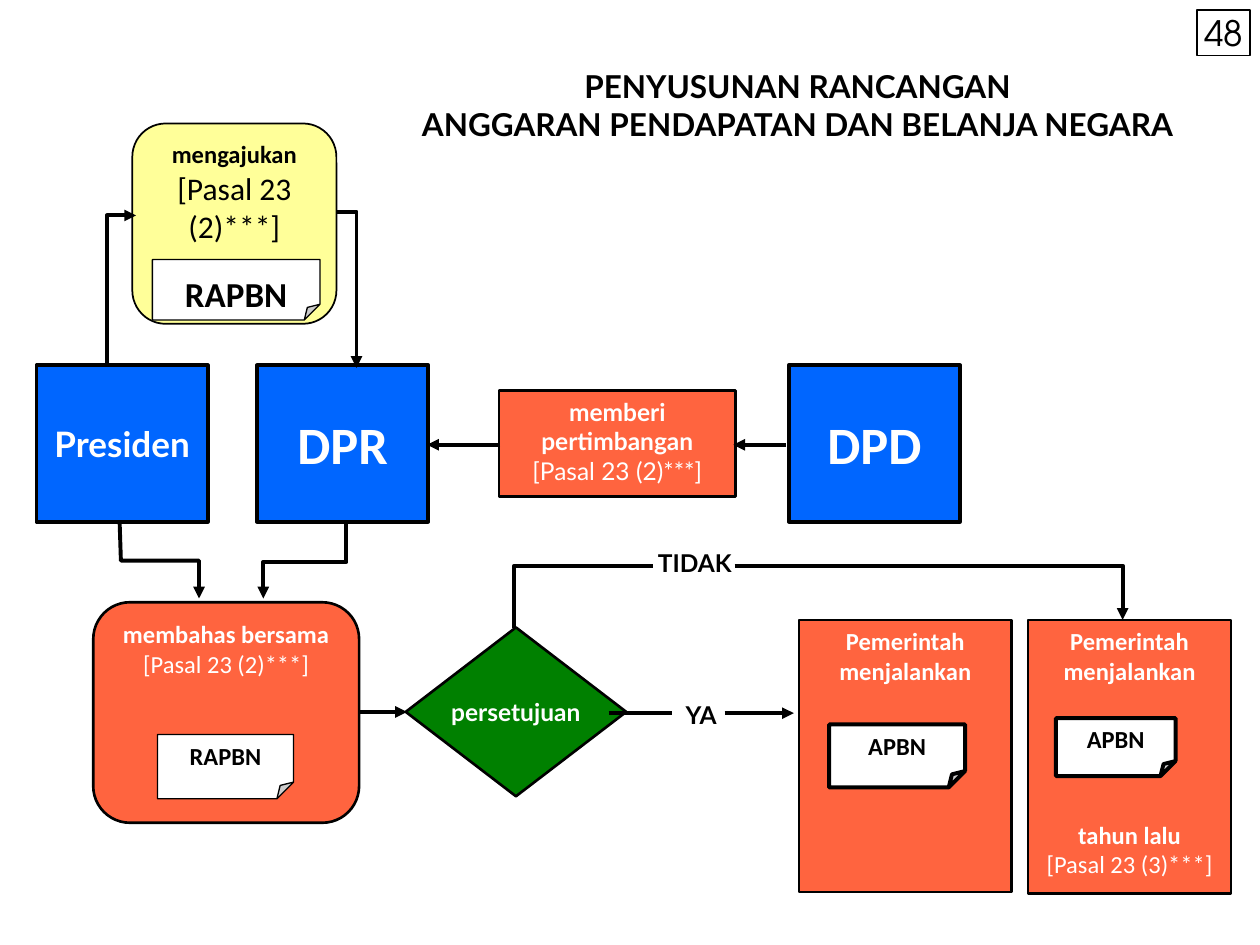
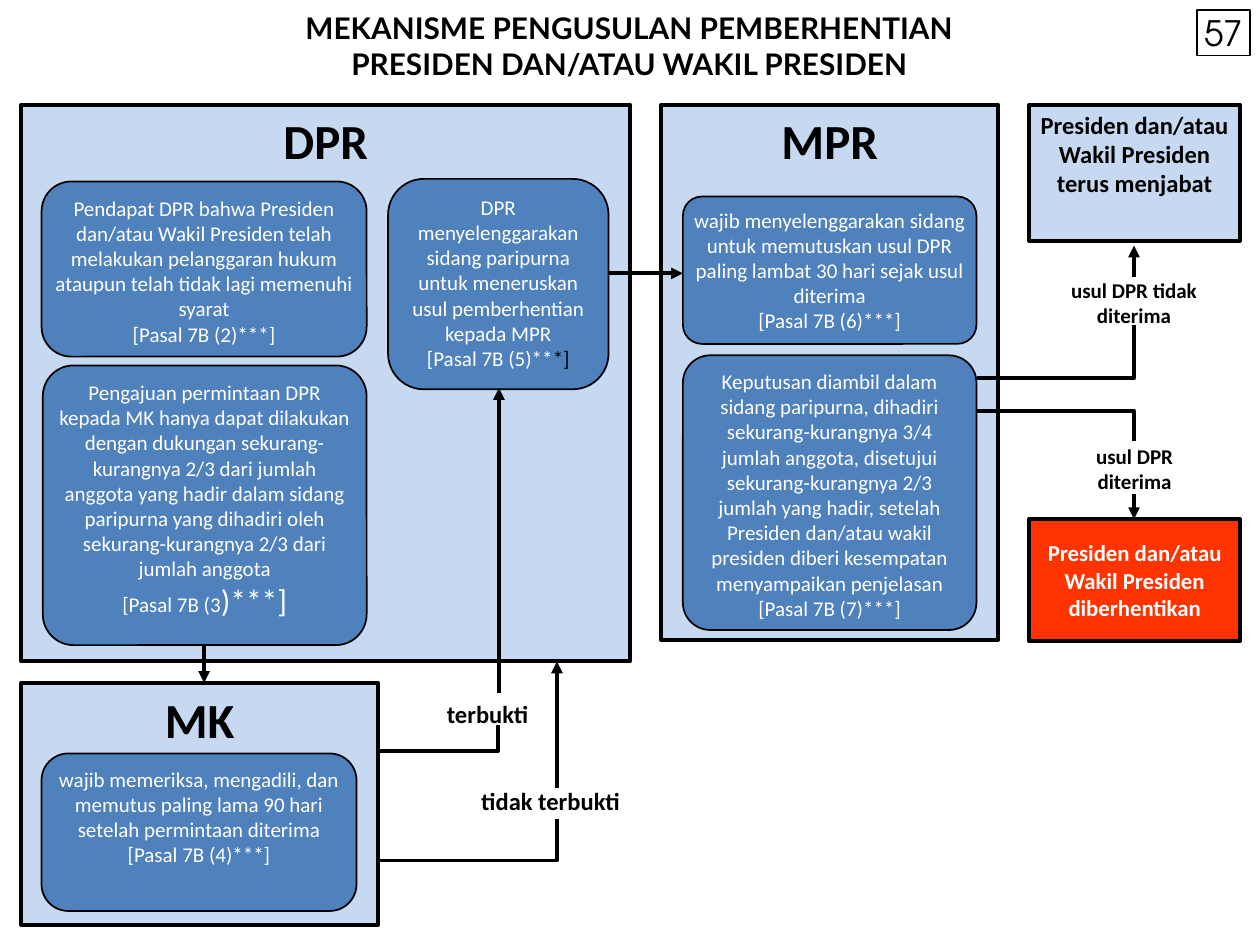
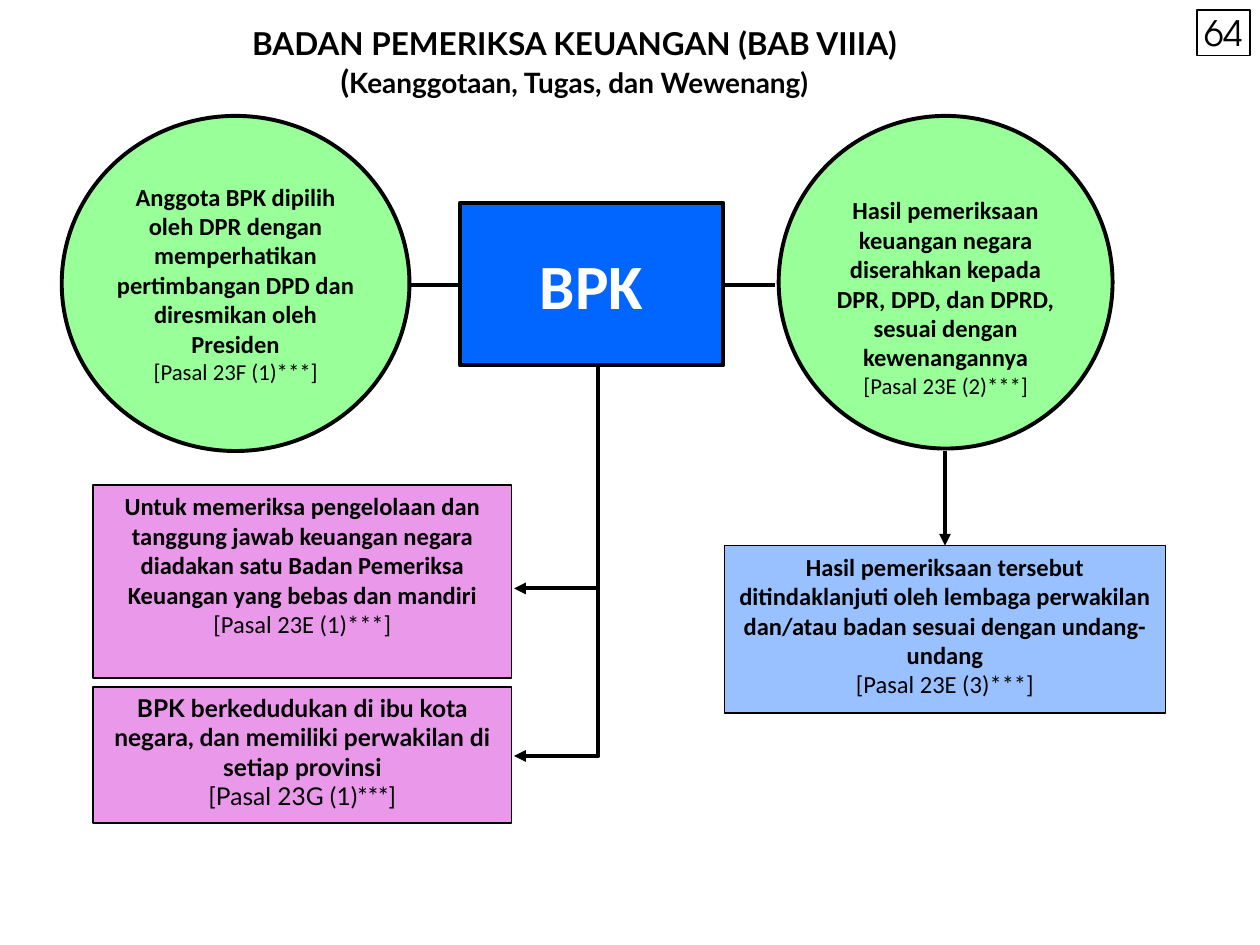
from dataclasses import dataclass, replace
from pptx import Presentation
from pptx.dml.color import RGBColor
from pptx.enum.shapes import MSO_CONNECTOR, MSO_SHAPE
from pptx.enum.text import MSO_ANCHOR, MSO_AUTO_SIZE, PP_ALIGN
from pptx.oxml.ns import qn
from pptx.util import Emu, Pt
from lxml.etree import SubElement

PX = 9144  # 100 px to the inch
COLORS = {
    "black": "000000", "white": "FFFFFF", "blue": "0066FF", "orange": "FF643F",
    "yellow": "FFFF99", "green": "008000", "pale": "C6D9F1", "steel": "4F81BD",
    "red": "FF3300", "violet": "CC00CC", "mint": "99FF99",
}
RECT, ROUND, FOLD = MSO_SHAPE.RECTANGLE, MSO_SHAPE.ROUNDED_RECTANGLE, MSO_SHAPE.FOLDED_CORNER
OVAL, DIAMOND = MSO_SHAPE.OVAL, MSO_SHAPE.DIAMOND
TOP, MIDDLE = MSO_ANCHOR.TOP, MSO_ANCHOR.MIDDLE
PAD, THIN, FLAT, NONE = (10, 5, 10, 5), (1, 5, 1, 5), (4, 4, 4, 4), (0, 0, 0, 0)


@dataclass(frozen=True)
class Style:
    size: float = 14
    ink: str = "black"
    bold: bool = True
    font: str = "Calibri"


DARK = Style()
LIGHT = Style(ink="white")
LATO = Style(font="Lato")
LATO_LIGHT = replace(LATO, ink="white")
HEAD = Style(28)
BODY = Style(12, "white", False)
TITLE = Style(18, font="Lato")
PAGE = Style(20, bold=False, font="TeX Gyre Adventor")


def rgb(name):
    return RGBColor.from_string(COLORS[name])


def place(at):
    return [Emu(n * PX) for n in at]


def cited(text, cite, style, size=None):
    """Lines for a statement and the article it rests on, in lighter type."""
    note = replace(style, bold=False, size=size or style.size)
    return [(text, style)], [(cite, note)]


def write(frame, lines, pad=PAD, anchor=TOP, wrap=True):
    """Fill a frame with centred lines, each a list of (text, style) runs."""
    frame.auto_size = MSO_AUTO_SIZE.NONE
    frame.word_wrap = wrap
    frame.vertical_anchor = anchor
    (frame.margin_left, frame.margin_top,
     frame.margin_right, frame.margin_bottom) = place(pad)
    for i, line in enumerate(lines):
        para = frame.add_paragraph() if i else frame.paragraphs[0]
        para.alignment = PP_ALIGN.CENTER
        for text, style in line:
            run = para.add_run()
            run.text = text
            font = run.font
            font.name, font.size, font.bold = style.font, Pt(style.size), style.bold
            font.color.rgb = rgb(style.ink)


def box(slide, kind, at, fill, line, lines, pad=PAD, anchor=TOP,
        wrap=True, bend=None, alpha=None):
    """Draw a shape with text; bend is its corner size, alpha its opacity in percent."""
    shape = slide.shapes.add_shape(kind, *place(at))
    shape.shadow.inherit = False
    props = shape._element.spPr
    if bend:
        guides = props.find(qn("a:prstGeom")).find(qn("a:avLst"))
        SubElement(guides, qn("a:gd"), name="adj", fmla=f"val {round(bend * 100000)}")
    if fill:
        shape.fill.solid()
        shape.fill.fore_color.rgb = rgb(fill)
    else:
        shape.fill.background()
    if alpha:
        tint = props.find(qn("a:solidFill")).find(qn("a:srgbClr"))
        SubElement(tint, qn("a:alpha"), val=str(alpha * 1000))
    shape.line.color.rgb = rgb("black")
    shape.line.width = Pt(line)
    write(shape.text_frame, lines, pad, anchor, wrap)
    return shape


def label(slide, at, style, *texts):
    frame = slide.shapes.add_textbox(*place(at)).text_frame
    write(frame, [[(text, style)] for text in texts])


def link(slide, *points, arrow=True):
    """Draw a line through the points, with the arrowhead at the last."""
    if len(points) == 2:
        shape = slide.shapes.add_connector(
            MSO_CONNECTOR.STRAIGHT, *place(points[0] + points[1]))
    else:
        outline = slide.shapes.build_freeform(*points[0], scale=PX)
        outline.add_line_segments(points[1:], close=False)
        shape = outline.convert_to_shape()
        shape.fill.background()
        shape.shadow.inherit = False
    shape.line.color.rgb = rgb("black")
    shape.line.width = Pt(2.25)
    props = shape._element.spPr
    if arrow:
        SubElement(props.find(qn("a:ln")), qn("a:tailEnd"), type="triangle")
    if len(points) == 2:
        SubElement(props, qn("a:effectLst"))


def start(deck, page, at, *lines):
    """Add a slide with its title and its boxed page number."""
    slide = deck.slides.add_slide(deck.slide_layouts[5])
    title = slide.shapes.title
    title.left, title.top, title.width, title.height = place(at)
    write(title.text_frame, lines)
    box(slide, RECT, (950, 8, 42, 36), None, 0.75, [[(page, PAGE)]], NONE, MIDDLE)
    return slide


def budget(deck):
    slide = start(deck, "48", (295, 48, 676, 73),
                  [("PENYUSUNAN RANCANGAN", TITLE)],
                  [("ANGGARAN PENDAPATAN DAN BELANJA NEGARA", TITLE)])
    for left, name, style in [(29, "Presiden", replace(LATO_LIGHT, size=20)),
                              (204, "DPR", replace(LIGHT, size=30)),
                              (626, "DPD", replace(LIGHT, size=30))]:
        box(slide, RECT, (left, 290, 136, 124), "blue", 2.25,
            [[(name, style)]], (4, 1, 4, 1), MIDDLE)

    box(slide, ROUND, (105, 98, 162, 159), "yellow", 1,
        cited("mengajukan", "[Pasal 23 (2)***]", DARK, 18), THIN)
    box(slide, ROUND, (74, 478, 211, 175), "orange", 1.5,
        cited("membahas bersama", "[Pasal 23 (2)***]", LIGHT), (0, 5, 0, 5))
    box(slide, RECT, (396, 310, 188, 84), "orange", 1.5,
        cited("memberi pertimbangan", "[Pasal 23 (2)***]", LATO_LIGHT), THIN)
    box(slide, DIAMOND, (322, 498, 175, 134), "green", 1.5,
        [[("persetujuan", LATO_LIGHT)]], NONE, MIDDLE, wrap=False)

    run = [("Pemerintah menjalankan", LIGHT)]
    box(slide, RECT, (634, 492, 169, 216), "orange", 1.5, [run])
    past = box(slide, RECT, (816, 492, 161, 217), "orange", 1.5,
               [run, *cited("tahun lalu", "[Pasal 23 (3)***]", LIGHT)], THIN)
    past.text_frame.paragraphs[1].space_before = Pt(77)

    for at, line, name, size, pad in [
            ((121, 206, 133, 48), 0.75, "RAPBN", 20, (10, 10, 10, 0)),
            ((125, 583, 108, 51), 0.75, "RAPBN", 14, PAD),
            ((658, 575, 108, 50), 2.25, "APBN", 14, PAD),
            ((838, 570, 95, 46), 2.25, "APBN", 14, THIN)]:
        box(slide, FOLD, at, "white", line, [[(name, Style(size))]], pad, bend=0.26)

    link(slide, (85, 290), (85, 171), (108, 171))
    link(slide, (267, 168), (283, 168), (283, 292))
    link(slide, (624, 353), (582, 353))
    link(slide, (397, 353), (339, 353))
    link(slide, (95, 415), (96, 445), (158, 445), (158, 475))
    link(slide, (275, 414), (275, 446), (209, 446), (209, 475))
    link(slide, (285, 565), (323, 565))
    link(slide, (483, 566), (533, 566), arrow=False)
    link(slide, (575, 566), (630, 566))
    link(slide, (408, 498), (408, 449), (518, 449), arrow=False)
    link(slide, (583, 449), (891, 449), (891, 492))
    label(slide, (531, 551, 51, 31), LATO, "YA")
    label(slide, (508, 430, 87, 37), LATO, "TIDAK")


def removal(deck):
    style = replace(TITLE, size=17)
    slide = start(deck, "57", (8, 3, 983, 77),
                  [("MEKANISME PENGUSULAN PEMBERHENTIAN", style)],
                  [("PRESIDEN DAN/ATAU WAKIL PRESIDEN", style)])
    for at, name in [((17, 83, 483, 442), "DPR"), ((525, 83, 267, 425), "MPR"),
                     ((17, 542, 283, 192), "MK")]:
        box(slide, RECT, at, "pale", 2.25, [[(name, HEAD)]])

    black = replace(BODY, ink="black")
    large = replace(BODY, size=18)
    for at, bend, text, cite in [
            ((33, 144, 258, 139), 0.17,
             "Pendapat DPR bahwa Presiden dan/atau Wakil Presiden telah melakukan "
             "pelanggaran hukum ataupun telah tidak lagi memenuhi syarat",
             [("[Pasal 7B (2)***]", BODY)]),
            ((34, 290, 257, 222), 0.11,
             "Pengajuan permintaan DPR kepada MK hanya dapat dilakukan dengan dukungan "
             "sekurang-kurangnya 2/3 dari jumlah anggota yang hadir dalam sidang paripurna "
             "yang dihadiri oleh sekurang-kurangnya 2/3 dari jumlah anggota",
             [("[Pasal 7B (3", BODY), (")***]", large)]),
            ((33, 598, 250, 125), 0.17,
             "wajib memeriksa, mengadili, dan memutus paling lama 90 hari setelah "
             "permintaan diterima",
             [("[Pasal 7B (4)***]", BODY)]),
            ((308, 142, 175, 167), 0.17,
             "DPR menyelenggarakan sidang paripurna untuk meneruskan usul "
             "pemberhentian kepada MPR",
             [("[Pasal 7B (5)**", BODY), ("*]", black)]),
            ((542, 156, 233, 117), 0.13,
             "wajib menyelenggarakan sidang untuk memutuskan usul DPR paling lambat "
             "30 hari sejak usul diterima",
             [("[Pasal 7B (6)***]", BODY)]),
            ((542, 282, 233, 218), 0.1,
             "Keputusan diambil dalam sidang paripurna, dihadiri sekurang-kurangnya 3/4 "
             "jumlah anggota, disetujui sekurang-kurangnya 2/3 jumlah yang hadir, setelah "
             "Presiden dan/atau wakil presiden diberi kesempatan menyampaikan penjelasan",
             [("[Pasal 7B (7)***]", BODY)])]:
        box(slide, ROUND, at, "steel", 1, [[(text, BODY)], cite], FLAT, bend=bend)

    box(slide, RECT, (817, 83, 167, 108), "pale", 2.25,
        [[("Presiden dan/atau Wakil Presiden terus menjabat", DARK)]], FLAT)
    box(slide, RECT, (817, 412, 167, 97), "red", 2.25,
        [[("Presiden dan/atau Wakil Presiden diberhentikan", replace(LIGHT, size=13))]],
        FLAT, MIDDLE)

    link(slide, (162, 512), (162, 542))
    link(slide, (483, 217), (542, 217))
    link(slide, (300, 596), (395, 596), (395, 575), arrow=False)
    link(slide, (396, 550), (396, 308))
    link(slide, (300, 683), (442, 683), (442, 650), arrow=False)
    link(slide, (442, 625), (442, 525))
    link(slide, (775, 300), (900, 300), (900, 258), arrow=False)
    link(slide, (900, 220), (900, 195))
    link(slide, (775, 326), (900, 326), (900, 350), arrow=False)
    link(slide, (900, 392), (900, 412))
    small = replace(DARK, size=12)
    label(slide, (829, 215, 142, 67), small, "usul DPR tidak diterima")
    label(slide, (845, 347, 111, 51), small, "usul DPR", "diterima")
    label(slide, (341, 550, 92, 25), DARK, "terbukti")
    label(slide, (366, 619, 142, 25), DARK, "tidak terbukti")


def audit(deck):
    slide = start(deck, "64", (-35, 14, 982, 85),
                  [("BADAN PEMERIKSA KEUANGAN (BAB VIIIA)", TITLE)],
                  [("(", TITLE),
                   ("Keanggotaan, Tugas, dan Wewenang)", replace(TITLE, size=16))])
    box(slide, RECT, (365, 161, 209, 129), "blue", 2.25,
        [[("BPK", replace(LIGHT, size=36))]], NONE, MIDDLE)
    for at, pad, text, cite in [
            ((49, 92, 276, 266), NONE,
             "Anggota BPK dipilih oleh DPR dengan memperhatikan pertimbangan DPD "
             "dan diresmikan oleh Presiden", "[Pasal 23F (1)***]"),
            ((618, 92, 265, 264), (0, 24, 0, 0),
             "Hasil pemeriksaan keuangan negara diserahkan kepada DPR, DPD, dan DPRD, "
             "sesuai dengan kewenangannya", "[Pasal 23E (2)***]")]:
        box(slide, OVAL, at, "mint", 2.25, cited(text, cite, DARK, 13), pad, MIDDLE)
    for at, fill, line, pad, style, text, cite in [
            ((74, 385, 332, 153), "violet", 1, (5, 5, 5, 5), DARK,
             "Untuk memeriksa pengelolaan dan tanggung jawab keuangan negara diadakan "
             "satu Badan Pemeriksa Keuangan yang bebas dan mandiri", "[Pasal 23E (1)***]"),
            ((74, 545, 332, 108), "violet", 1, PAD, LATO,
             "BPK berkedudukan di ibu kota negara, dan memiliki perwakilan di setiap "
             "provinsi", "[Pasal 23G (1)***]"),
            ((575, 433, 350, 133), "blue", 0.75, PAD, DARK,
             "Hasil pemeriksaan tersebut ditindaklanjuti oleh lembaga perwakilan "
             "dan/atau badan sesuai dengan undang-undang", "[Pasal 23E (3)***]")]:
        box(slide, RECT, at, fill, line, cited(text, cite, style), pad, alpha=40)

    link(slide, (324, 226), (365, 226), arrow=False)
    link(slide, (574, 226), (615, 226), arrow=False)
    link(slide, (750, 358), (750, 433))
    for top, level in [(290, 467), (467, 600)]:
        link(slide, (475, top), (475, level), (408, level))


def main():
    deck = Presentation()
    deck.slide_width, deck.slide_height = place((1000, 750))
    budget(deck)
    removal(deck)
    audit(deck)
    deck.save("out.pptx")


if __name__ == "__main__":
    main()
